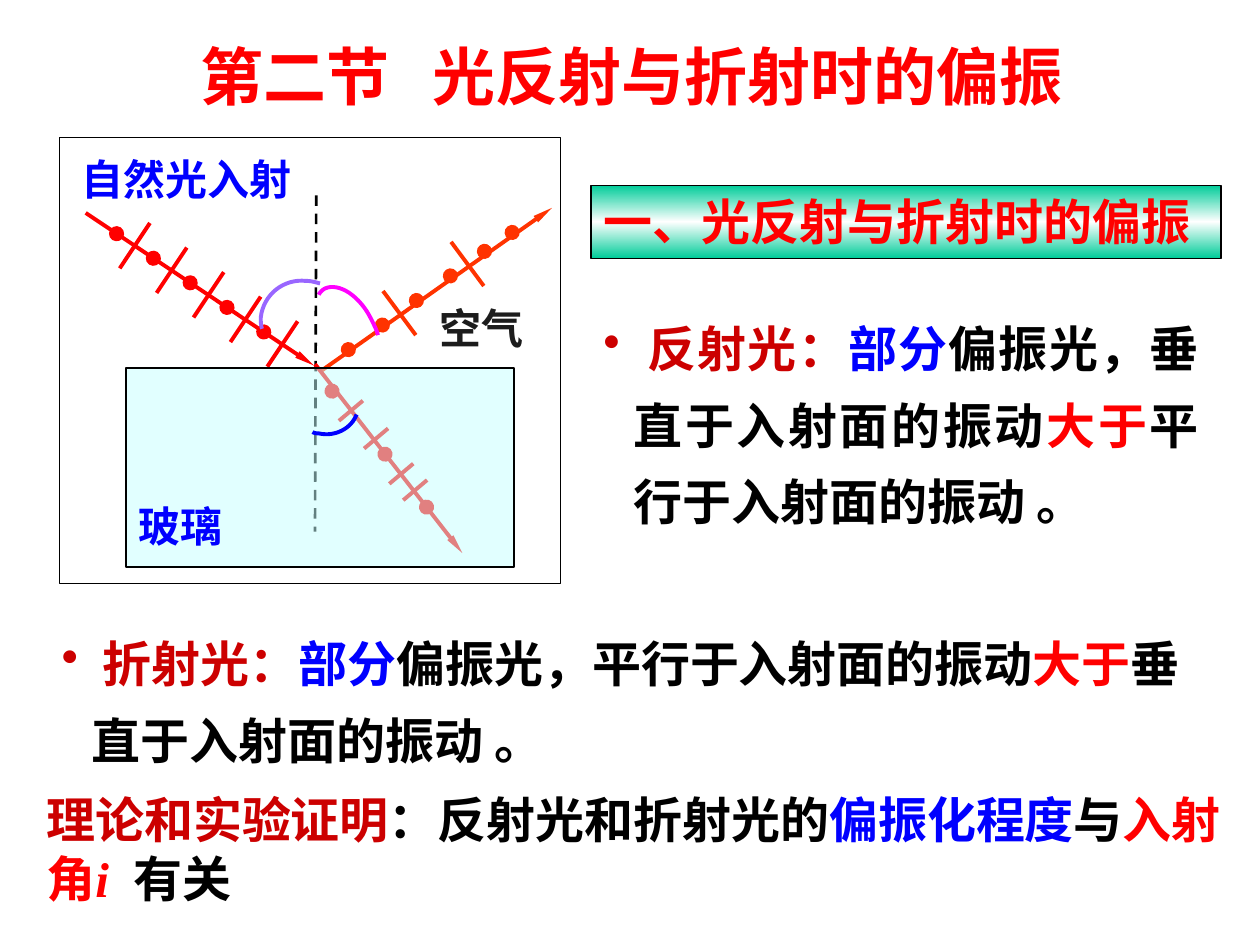
from copy import deepcopy
from dataclasses import dataclass
from typing import NamedTuple

from pptx import Presentation
from pptx.dml.color import RGBColor as RGB
from pptx.enum.dml import MSO_LINE
from pptx.enum.shapes import MSO_CONNECTOR as CONN, MSO_SHAPE as SHAPE
from pptx.enum.text import MSO_ANCHOR, MSO_AUTO_SIZE, PP_ALIGN as ALIGN
from pptx.oxml.ns import qn
from pptx.oxml.xmlchemy import OxmlElement
from pptx.util import Inches, Pt

COLS, ROWS = 100, 75  # square grid over a 10 x 7.5 inch slide
W, H = Inches(10), Inches(7.5)


@dataclass(frozen=True)
class Theme:
    font: str = "Times New Roman"
    title: int = 36
    body: int = 28
    label: int = 24
    thin: float = 0.75
    dashed: float = 1.5
    ray: float = 2.25
    black: str = "000000"
    white: str = "FFFFFF"
    ink: str = "1C1C1C"
    red: str = "FF0000"
    dark_red: str = "CC0000"
    orange: str = "FF3300"
    blue: str = "0000FF"
    magenta: str = "FF00FF"
    violet: str = "9966FF"
    green: str = "00CC99"
    glass: str = "C5FFFF"


T = Theme()
Point = tuple[float, float]


class Box(NamedTuple):
    left: float
    top: float
    width: float
    height: float


class Run(NamedTuple):
    text: str
    color: str
    italic: bool = False


@dataclass
class Ray:
    color: str
    start: Point
    end: Point
    ticks: list[tuple[Point, Point]]
    dots: list[Point]  # top left corners
    angle: float


def xy(p: Point) -> tuple[int, int]:
    return round(p[0] * W / COLS), round(p[1] * H / ROWS)


def rgb(color: str) -> RGB:
    return RGB.from_string(color)


def add_line(s, a: Point, b: Point, color: str, width: float = T.ray,
             arrow: bool = False, dash: bool = False) -> None:
    c = s.shapes.add_connector(CONN.STRAIGHT, *xy(a), *xy(b))
    c.line.color.rgb, c.line.width = rgb(color), Pt(width)
    if dash:
        c.line.dash_style = MSO_LINE.DASH
    if arrow:
        head = OxmlElement("a:tailEnd")
        for key, value in (("type", "triangle"), ("w", "sm"), ("len", "lg")):
            head.set(key, value)
        c.line._get_or_add_ln().append(head)
    c._element.spPr.append(OxmlElement("a:effectLst"))


def add_shape(s, kind: SHAPE, box: Box, fill: str, line: str = T.black):
    sp = s.shapes.add_shape(kind, *xy(box[:2]), *xy(box[2:]))
    sp.shadow.inherit = False
    sp.fill.solid()
    sp.fill.fore_color.rgb = rgb(fill)
    sp.line.color.rgb, sp.line.width = rgb(line), Pt(T.thin)
    return sp


def add_ray(s, ray: Ray) -> None:
    add_line(s, ray.start, ray.end, ray.color, arrow=True)
    for a, b in ray.ticks:
        add_line(s, a, b, ray.color)
    for dot in ray.dots:
        add_shape(s, SHAPE.OVAL, Box(*dot, 1.1, 1.1), ray.color, ray.color).rotation = ray.angle


def add_arc(s, color: str, start: Point, *curves: tuple[Point, Point, Point]) -> None:
    """Draw cubic curves joined end to end as one open outline."""
    points, p0, steps = [], start, 16
    for p1, p2, p3 in curves:
        for t in (n / steps for n in range(1, steps + 1)):
            u = 1 - t
            points.append(xy(tuple(u**3 * a + 3 * u * u * t * b + 3 * u * t * t * c + t**3 * d
                                   for a, b, c, d in zip(p0, p1, p2, p3))))
        p0 = p3
    builder = s.shapes.build_freeform(*xy(start))
    builder.add_line_segments(points, close=False)
    sp = builder.convert_to_shape()
    sp.shadow.inherit = False
    sp.fill.background()
    sp.line.color.rgb, sp.line.width = rgb(color), Pt(T.ray)


def write(sp, runs: list[Run], size: int, align: ALIGN = ALIGN.LEFT,
          spacing: float = 1.0, bullet: bool = False, wrap: bool = True) -> None:
    tf = sp.text_frame
    tf.word_wrap, tf.auto_size = wrap, MSO_AUTO_SIZE.SHAPE_TO_FIT_TEXT
    tf.vertical_anchor = MSO_ANCHOR.TOP
    p = tf.paragraphs[0]
    p.alignment, p.line_spacing = align, spacing
    if bullet:
        pPr = p._p.get_or_add_pPr()
        indent = xy((2.4, 0))[0]
        pPr.set("marL", str(indent))
        pPr.set("indent", str(-indent))
        mark = OxmlElement("a:buChar")
        mark.set("char", "•")
        pPr.append(mark)
    for run in runs:
        r = p.add_run()
        r.text = run.text
        r.font.name, r.font.size, r.font.bold = T.font, Pt(size), True
        r.font.italic, r.font.color.rgb = run.italic, rgb(run.color)


def add_text(s, box: Box, runs: list[Run], size: int, **fmt) -> None:
    write(s.shapes.add_textbox(*xy(box[:2]), *xy(box[2:])), runs, size, **fmt)


def add_heading(s, box: Box, text: str) -> None:
    sp = add_shape(s, SHAPE.RECTANGLE, box, T.white)
    sp.fill.gradient()
    sp.fill.gradient_angle = 90
    for stop in sp.fill.gradient_stops:
        stop.color.rgb = rgb(T.green)
    first = sp._element.spPr.find(qn("a:gradFill")).find(qn("a:gsLst"))[0]
    first.addnext(deepcopy(first))
    middle = sp.fill.gradient_stops[1]
    middle.position, middle.color.rgb = 0.5, rgb(T.white)
    write(sp, [Run(text, T.red)], T.body)


def add_glass(s, box: Box) -> None:
    sp = add_shape(s, SHAPE.RECTANGLE, box, T.glass)
    alpha = OxmlElement("a:alpha")
    alpha.set("val", "50000")
    sp._element.spPr.find(qn("a:solidFill"))[0].append(alpha)


def light(name: str, before: str, after: str) -> list[Run]:
    return [Run(f" {name}：", T.dark_red), Run("部分", T.blue), Run(f"偏振光，{before}", T.black),
            Run("大于", T.red), Run(f"{after} 。", T.black)]


INCIDENT = Ray(T.red, (6.8, 16.9), (24.9, 29),
               [((11.9 + 2.93 * n, 17.7 + 1.95 * n), (9.5 + 2.93 * n, 21.3 + 1.95 * n))
                for n in range(5)],
               [(8.7 + 2.92 * n, 18 + 1.95 * n) for n in range(5)], 33.9)
REFLECTED = Ray(T.orange, (25.4, 29.5), (43.8, 16.5),
                [((x, y), (x + 2.6, y + 3.5)) for x, y in ((30.4, 23.1), (35.8, 19.2))],
                [(27.1 + 2.7 * n, 27.2 - 1.95 * n) for n in range(5)] + [(40.1, 17.9)], 324.1)
REFRACTED = Ray(T.red, (25, 28.9), (36.7, 43.9),
                [((x, y), (x + 1.9, y - 1.6))
                 for x, y in ((26.9, 33.4), (28.9, 35.6), (30.9, 38.4), (32, 39.7))],
                [(25.8, 30.5), (30, 35.5), (33.3, 39.7)], 46.4)


def main() -> None:
    prs = Presentation()
    prs.slide_width, prs.slide_height = W, H
    s = prs.slides.add_slide(prs.slide_layouts[6])

    add_shape(s, SHAPE.RECTANGLE, Box(4.7, 10.9, 39.8, 35.4), T.white)
    add_text(s, Box(33.9, 23.5, 9.6, 4.9), [Run("空气", T.ink)], T.label)
    add_ray(s, REFLECTED)
    add_arc(s, T.magenta, (25.3, 23.4), ((25.4, 23.2), (25.6, 23), (25.8, 22.9)),
            ((26.9, 22.4), (28.6, 23.5), (29.5, 25.4)), ((29.7, 25.8), (29.9, 26.2), (30, 26.6)))
    add_line(s, (25.1, 15.5), (25, 42.2), T.black, T.dashed, dash=True)
    add_ray(s, INCIDENT)
    add_arc(s, T.violet, (25.4, 22.5), ((25, 22.4), (24.7, 22.3), (24.3, 22.3)),
            ((22.5, 22.1), (20.9, 23.4), (20.7, 25.2)), ((20.7, 25.5), (20.7, 25.8), (20.8, 26.1)))
    add_ray(s, REFRACTED)
    add_glass(s, Box(10, 29.2, 30.8, 15.8))
    add_text(s, Box(10, 39.2, 14, 5.1), [Run("玻璃", T.blue)], T.label)
    add_arc(s, T.blue, (24.8, 34.3), ((25, 34.4), (25.2, 34.4), (25.3, 34.4)),
            ((26.6, 34.7), (27.9, 34), (28.3, 32.9)))
    add_text(s, Box(5.5, 11.7, 18.9, 5), [Run("自然光入射", T.blue)], T.label, wrap=False)

    add_text(s, Box(5.1, 2.5, 90, 7), [Run("第二节   光反射与折射时的偏振", T.red)], T.title,
             align=ALIGN.CENTER)
    add_heading(s, Box(46.9, 14.7, 50, 5.8), "一、光反射与折射时的偏振")
    add_text(s, Box(46.9, 23.4, 49.2, 18.7),
             light("反射光", "垂直于入射面的振动", "平行于入射面的振动"),
             T.body, align=ALIGN.JUSTIFY, spacing=1.3, bullet=True)
    add_text(s, Box(3.9, 48.4, 93.7, 13.3),
             light("折射光", "平行于入射面的振动", "垂直于入射面的振动"),
             T.body, spacing=1.3, bullet=True)
    add_text(s, Box(2.7, 62.2, 97.3, 10.4),
             [Run("理论和实验证明", T.dark_red), Run("：反射光和折射光的", T.black),
              Run("偏振化程度", T.blue), Run("与", T.black), Run("入射角", T.red),
              Run("i  ", T.red, italic=True), Run("有关", T.black)], T.body)
    prs.save("out.pptx")


if __name__ == "__main__":
    main()
